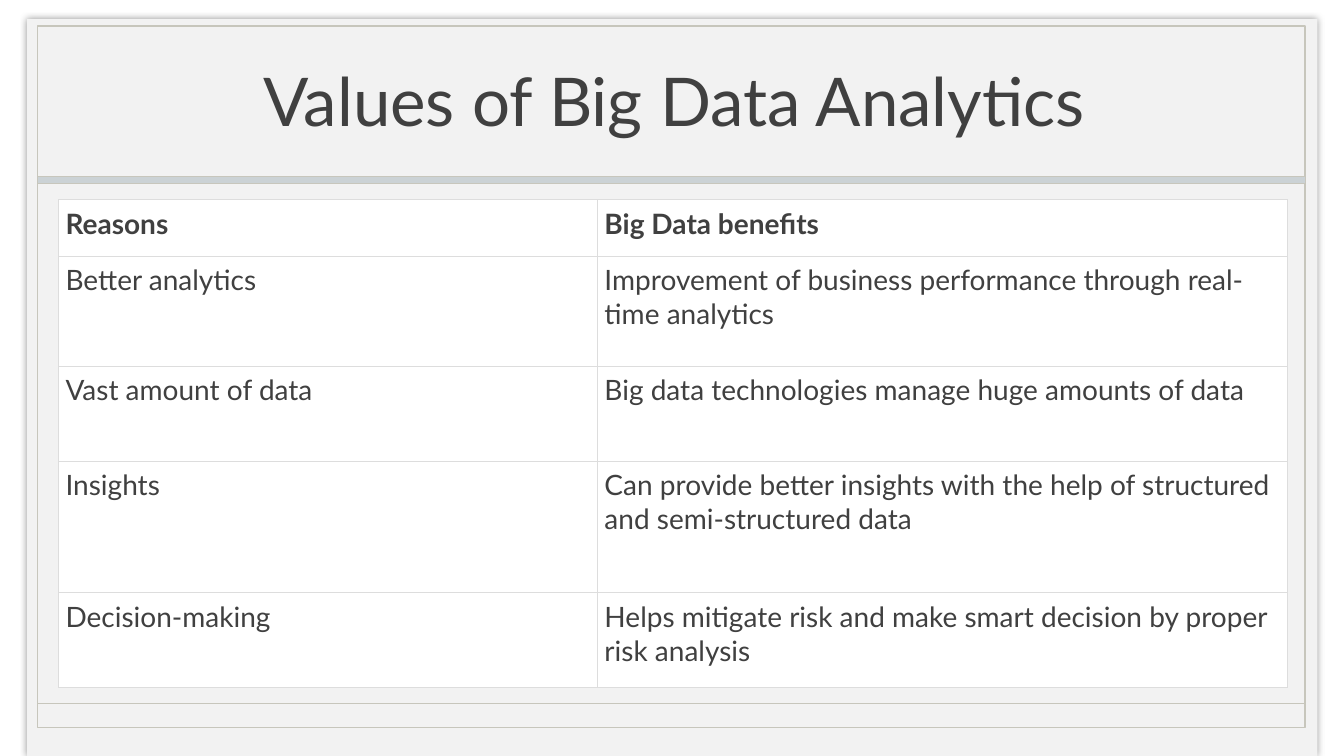
from collections import namedtuple
from dataclasses import dataclass

from lxml import etree
from pptx import Presentation
from pptx import util as u
from pptx.dml import color
from pptx.enum import shapes, text
from pptx.oxml import ns

Box = namedtuple("Box", "left top width height")


@dataclass(frozen=True)
class Theme:
    font: str = "Lato"
    title_size: float = 48
    body_size: float = 20
    ink: str = "404040"
    panel: str = "F2F2F2"
    rule: str = "C7C6BC"
    band: str = "CBD2D5"
    cell: str = "FFFFFF"
    border: str = "DDDDDD"
    shadow: str = "000000"


THEME = Theme()
PANEL = Box(19.44, 13.7, 921.6, 526.3)
TITLE = Box(174.2, 18, 614.9, 105.8)
TABLE = Box(41.8, 142.6, 878, 348.7)
COLUMN_WIDTHS = (385, 493)
ROW_HEIGHTS = (40.3, 78.6, 67.9, 94, 67.9)
ROWS = (
    ("Reasons", "Big Data benefits"),
    ("Better analytics", "Improvement of business performance through real-time analytics"),
    ("Vast amount of data", "Big data technologies manage huge amounts of data"),
    ("Insights", "Can provide better insights with the help of structured and semi-structured data"),
    ("Decision-making", "Helps mitigate risk and make smart decision by proper risk analysis"),
)


def rgb(value):
    return color.RGBColor.from_string(value)


def points(values):
    return [u.Pt(value) for value in values]


def add_child(parent, tag, **attributes):
    return etree.SubElement(parent, ns.qn(tag), attributes)


def add_run(paragraph, words, size, bold=False):
    run = paragraph.add_run()
    run.text = words
    run.font.name = THEME.font
    run.font.size = u.Pt(size)
    run.font.bold = bold
    run.font.color.rgb = rgb(THEME.ink)


def add_rectangle(slide, box, fill=None, line=None, line_width=1):
    shape = slide.shapes.add_shape(shapes.MSO_SHAPE.RECTANGLE, *points(box))
    if fill:
        shape.fill.solid()
        shape.fill.fore_color.rgb = rgb(fill)
    else:
        shape.fill.background()
    if line:
        shape.line.color.rgb = rgb(line)
        shape.line.width = u.Pt(line_width)
    else:
        shape.line.fill.background()
    shape.shadow.inherit = False
    return shape


def add_soft_shadow(shape):
    effects = shape._element.spPr.find(ns.qn("a:effectLst"))
    shadow = add_child(effects, "a:outerShdw", blurRad=str(u.Pt(5)), dist="0", dir="0",
                       algn="ctr", rotWithShape="0")
    shade = add_child(shadow, "a:srgbClr", val=THEME.shadow)
    add_child(shade, "a:alpha", val="40000")


def add_backdrop(slide, box):
    add_soft_shadow(add_rectangle(slide, box, fill=THEME.panel))
    frame = Box(box.left + 7.4, box.top + 5, 905.3, 501.1)
    add_rectangle(slide, frame, line=THEME.rule)
    footer_y = frame.top + 483.9
    footer = slide.shapes.add_connector(
        shapes.MSO_CONNECTOR.STRAIGHT,
        *points((frame.left, footer_y, frame.left + frame.width, footer_y)))
    footer.line.color.rgb = rgb(THEME.rule)
    footer.line.width = u.Pt(1)
    add_child(footer._element.spPr, "a:effectLst")
    band = Box(frame.left, frame.top + 107.3, frame.width, 5)
    add_rectangle(slide, band, THEME.band, THEME.rule, 0.25)


def place_title(slide, box, words):
    title = slide.shapes.title
    title.left, title.top, title.width, title.height = points(box)
    frame = title.text_frame
    frame.word_wrap = True
    frame.auto_size = text.MSO_AUTO_SIZE.NONE
    frame.vertical_anchor = text.MSO_ANCHOR.MIDDLE
    paragraph = frame.paragraphs[0]
    paragraph.alignment = text.PP_ALIGN.CENTER
    add_run(paragraph, words, THEME.title_size)
    slide.shapes._spTree.append(title._element)


def add_borders(cell):
    properties = cell._tc.get_or_add_tcPr()
    for side in ("a:lnL", "a:lnR", "a:lnT", "a:lnB"):
        line = add_child(properties, side, w=str(u.Pt(0.75)))
        add_child(add_child(line, "a:solidFill"), "a:srgbClr", val=THEME.border)


def fill_cell(cell, words, bold):
    cell.margin_left = cell.margin_right = cell.margin_top = cell.margin_bottom = u.Pt(5)
    cell.vertical_anchor = text.MSO_ANCHOR.TOP
    add_borders(cell)
    cell.fill.solid()
    cell.fill.fore_color.rgb = rgb(THEME.cell)
    add_run(cell.text_frame.paragraphs[0], words, THEME.body_size, bold)


def add_benefits_table(slide, box, rows):
    table = slide.shapes.add_table(len(rows), len(rows[0]), *points(box)).table
    table.horz_banding = False
    for column, width in zip(table.columns, COLUMN_WIDTHS):
        column.width = u.Pt(width)
    for index, (row, height, entries) in enumerate(zip(table.rows, ROW_HEIGHTS, rows)):
        row.height = u.Pt(height)
        for cell, words in zip(row.cells, entries):
            fill_cell(cell, words, bold=index == 0)


def main():
    presentation = Presentation()
    presentation.slide_width, presentation.slide_height = points((960, 540))
    slide = presentation.slides.add_slide(presentation.slide_layouts.get_by_name("Title Only"))
    add_backdrop(slide, PANEL)
    place_title(slide, TITLE, "Values of Big Data Analytics")
    add_benefits_table(slide, TABLE, ROWS)
    presentation.save("out.pptx")


if __name__ == "__main__":
    main()
